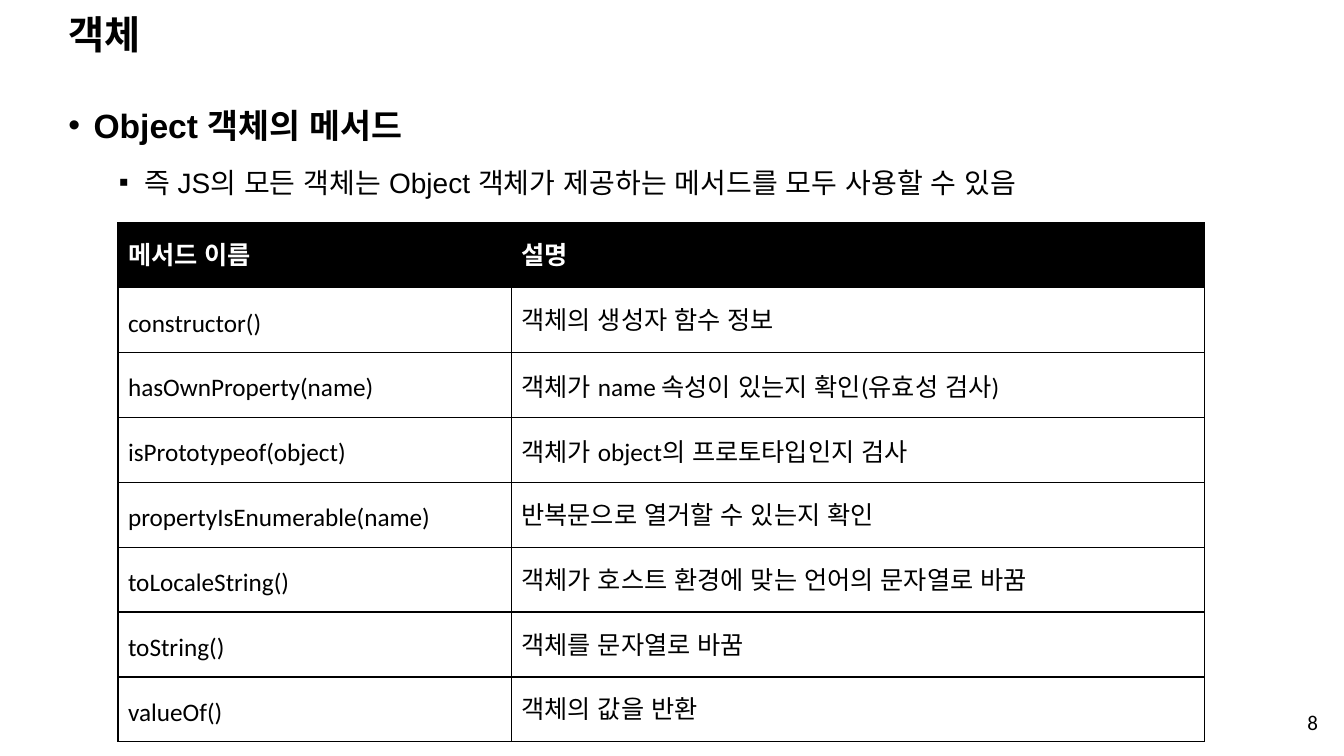
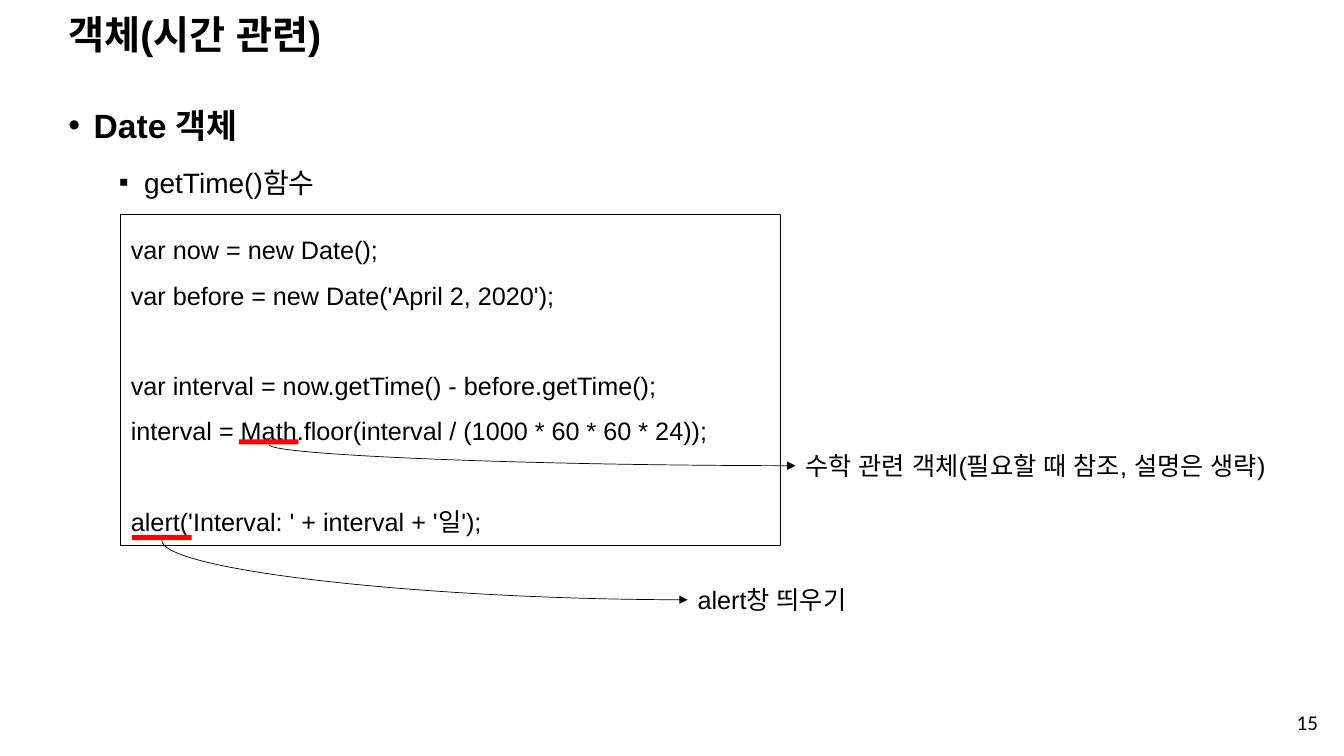
from dataclasses import dataclass

from lxml.etree import SubElement
from pptx import Presentation
from pptx.dml.color import RGBColor
from pptx.enum.shapes import MSO_CONNECTOR, MSO_SHAPE
from pptx.enum.text import MSO_ANCHOR, MSO_AUTO_SIZE, PP_ALIGN
from pptx.oxml.ns import qn
from pptx.presentation import Presentation as Deck
from pptx.shapes.autoshape import Shape
from pptx.slide import Slide
from pptx.table import _Cell
from pptx.text.text import TextFrame, _Paragraph
from pptx.util import Inches, Pt


@dataclass(frozen=True)
class Theme:
    ink: RGBColor = RGBColor(0, 0, 0)
    paper: RGBColor = RGBColor(255, 255, 255)
    accent: RGBColor = RGBColor(255, 0, 0)
    font: str = "Arial"
    table_font: str = "Calibri"
    title: int = 28
    heading: int = 24
    point: int = 20
    text: int = 18
    number: int = 15


@dataclass(frozen=True)
class Box:
    left: float
    top: float
    width: float
    height: float

    def lengths(self) -> tuple[int, int, int, int]:
        return (Inches(self.left), Inches(self.top),
                Inches(self.width), Inches(self.height))


@dataclass(frozen=True)
class BulletStyle:
    mark: str
    indent: float
    size: int
    bold: bool
    before: int


@dataclass(frozen=True)
class Callout:
    underline: Box
    label: Box
    text: str


@dataclass(frozen=True)
class CodeGroup:
    lines: tuple[str, ...]


THEME = Theme()
BULLETS = (
    BulletStyle("•", 0.25, THEME.heading, True, 0),
    BulletStyle("▪", 0.75, THEME.point, False, 5),
)
HANGING = 0.25
CODE_GAP = 32

METHODS = (
    ("메서드 이름", "설명"),
    ("constructor()", "객체의 생성자 함수 정보"),
    ("hasOwnProperty(name)", "객체가 name 속성이 있는지 확인(유효성 검사)"),
    ("isPrototypeof(object)", "객체가 object의 프로토타입인지 검사"),
    ("propertyIsEnumerable(name)", "반복문으로 열거할 수 있는지 확인"),
    ("toLocaleString()", "객체가 호스트 환경에 맞는 언어의 문자열로 바꿈"),
    ("toString()", "객체를 문자열로 바꿈"),
    ("valueOf()", "객체의 값을 반환"),
)
METHOD_COLUMNS = (3.9, 6.88)

CODE = (
    CodeGroup(("var now = new Date();",
               "var before = new Date('April 2, 2020');")),
    CodeGroup(("var interval = now.getTime() - before.getTime();",
               "interval = Math.floor(interval / (1000 * 60 * 60 * 24));")),
    CodeGroup(("alert('Interval: ' + interval + '일');",)),
)
CALLOUTS = (
    Callout(Box(2.37, 4.36, 0.59, 0.05), Box(7.89, 4.42, 5.21, 0.4),
            "수학 관련 객체(필요할 때 참조, 설명은 생략)"),
    Callout(Box(1.31, 5.31, 0.59, 0.05), Box(6.82, 5.75, 2.46, 0.4),
            "alert창 띄우기"),
)


def add_text(paragraph: _Paragraph, text: str, size: int, font: str = THEME.font,
             bold: bool = False, color: RGBColor = THEME.ink) -> None:
    run = paragraph.add_run()
    run.text = text
    run.font.size = Pt(size)
    run.font.name = font
    run.font.bold = bold
    run.font.color.rgb = color
    SubElement(run._r.get_or_add_rPr(), qn("a:ea")).set("typeface", THEME.font)


def next_paragraph(frame: TextFrame, index: int) -> _Paragraph:
    return frame.add_paragraph() if index else frame.paragraphs[0]


def add_text_area(slide: Slide, box: Box) -> Shape:
    area = slide.shapes.add_textbox(*box.lengths())
    area.text_frame.word_wrap = True
    return area


def add_bullet(paragraph: _Paragraph, level: int, text: str) -> None:
    style = BULLETS[level]
    properties = paragraph._p.get_or_add_pPr()
    properties.set("marL", str(Inches(style.indent)))
    properties.set("indent", str(-Inches(HANGING)))
    SubElement(properties, qn("a:buFont")).set("typeface", THEME.font)
    SubElement(properties, qn("a:buChar")).set("char", style.mark)
    paragraph.level = level
    paragraph.line_spacing = 1.4
    paragraph.space_before = Pt(style.before)
    add_text(paragraph, text, style.size, bold=style.bold)


def add_lecture_slide(deck: Deck, heading: str, points: tuple[str, str],
                      number: int) -> Slide:
    slide = deck.slides.add_slide(deck.slide_layouts[5])
    title = slide.shapes.title
    title.left, title.top, title.width, title.height = Box(
        0.58, 0.17, 11.5, 0.38).lengths()
    title.text_frame.vertical_anchor = MSO_ANCHOR.MIDDLE
    title_line = title.text_frame.paragraphs[0]
    title_line.alignment = PP_ALIGN.LEFT
    title_line.line_spacing = 0.9
    add_text(title_line, heading, THEME.title, bold=True)

    outline = add_text_area(slide, Box(0.58, 0.83, 12.22, 1.3)).text_frame
    for level, point in enumerate(points):
        add_bullet(next_paragraph(outline, level), level, point)

    footer = add_text_area(slide, Box(9.42, 6.95, 3.75, 0.42)).text_frame
    footer.vertical_anchor = MSO_ANCHOR.MIDDLE
    footer.paragraphs[0].alignment = PP_ALIGN.RIGHT
    add_text(footer.paragraphs[0], str(number), THEME.number, THEME.table_font)
    return slide


def add_borders(cell: _Cell) -> None:
    properties = cell._tc.get_or_add_tcPr()
    for side in ("lnL", "lnR", "lnT", "lnB"):
        border = SubElement(properties, qn(f"a:{side}"), w=str(Pt(1)))
        fill = SubElement(border, qn("a:solidFill"))
        SubElement(fill, qn("a:srgbClr"), val=str(THEME.ink))


def add_method_table(slide: Slide) -> None:
    table = slide.shapes.add_table(
        len(METHODS), len(METHOD_COLUMNS),
        *Box(1.17, 2.21, sum(METHOD_COLUMNS), 5.15).lengths()).table
    table.horz_banding = False
    for column, width in zip(table.columns, METHOD_COLUMNS):
        column.width = Inches(width)
    for row_index, method in enumerate(METHODS):
        header = row_index == 0
        for column_index, text in enumerate(method):
            cell = table.cell(row_index, column_index)
            add_borders(cell)
            if header:
                cell.fill.solid()
                cell.fill.fore_color.rgb = THEME.ink
            else:
                cell.fill.background()
            paragraph = cell.text_frame.paragraphs[0]
            paragraph.line_spacing = 1.5
            add_text(paragraph, text, THEME.text, THEME.table_font, header,
                     THEME.paper if header else THEME.ink)


def add_rectangle(slide: Slide, box: Box) -> Shape:
    rectangle = slide.shapes.add_shape(MSO_SHAPE.RECTANGLE, *box.lengths())
    rectangle.shadow.inherit = False
    return rectangle


def add_code(slide: Slide) -> None:
    panel = add_rectangle(slide, Box(1.2, 2.13, 6.54, 3.28))
    panel.fill.background()
    panel.line.color.rgb = THEME.ink
    panel.line.width = Pt(0.75)
    frame = panel.text_frame
    frame.word_wrap = True
    frame.vertical_anchor = MSO_ANCHOR.TOP
    lines = [(text, group_index > 0 and line_index == 0)
             for group_index, group in enumerate(CODE)
             for line_index, text in enumerate(group.lines)]
    for index, (text, opens_group) in enumerate(lines):
        paragraph = next_paragraph(frame, index)
        paragraph.alignment = PP_ALIGN.LEFT
        paragraph.line_spacing = 1.5
        if opens_group:
            paragraph.space_before = Pt(CODE_GAP)
        add_text(paragraph, text, THEME.text)


def add_curved_arrow(slide: Slide, underline: Shape, label: Shape) -> None:
    arrow = slide.shapes.add_connector(MSO_CONNECTOR.CURVE, 0, 0, 0, 0)
    arrow.begin_connect(underline, 2)
    arrow.end_connect(label, 1)
    center_x = (arrow.begin_x + arrow.end_x) // 2
    center_y = (arrow.begin_y + arrow.end_y) // 2
    drop, reach = arrow.height, arrow.width
    arrow.left, arrow.top = center_x - drop // 2, center_y - reach // 2
    arrow.width, arrow.height = drop, reach
    arrow.line.color.rgb = THEME.ink
    arrow.line.width = Pt(0.5)
    properties = arrow.element.spPr
    transform = properties.find(qn("a:xfrm"))
    transform.set("rot", "16200000")
    transform.set("flipH", "1")
    properties.find(qn("a:prstGeom")).set("prst", "curvedConnector2")
    SubElement(properties.find(qn("a:ln")), qn("a:tailEnd"), type="triangle")
    SubElement(properties, qn("a:effectLst"))


def add_callout(slide: Slide, callout: Callout) -> None:
    underline = add_rectangle(slide, callout.underline)
    underline.fill.solid()
    underline.fill.fore_color.rgb = THEME.accent
    underline.line.fill.background()
    label = add_text_area(slide, callout.label)
    label.text_frame.auto_size = MSO_AUTO_SIZE.SHAPE_TO_FIT_TEXT
    add_text(label.text_frame.paragraphs[0], callout.text, THEME.text)
    add_curved_arrow(slide, underline, label)


def main() -> None:
    deck = Presentation()
    deck.slide_width, deck.slide_height = Inches(13.33), Inches(7.5)

    methods_slide = add_lecture_slide(
        deck, "객체",
        ("Object 객체의 메서드",
         "즉 JS의 모든 객체는 Object 객체가 제공하는 메서드를 모두 사용할 수 있음"), 8)
    add_method_table(methods_slide)

    date_slide = add_lecture_slide(
        deck, "객체(시간 관련)", ("Date 객체", "getTime()함수"), 15)
    add_code(date_slide)
    for callout in CALLOUTS:
        add_callout(date_slide, callout)

    deck.save("out.pptx")


if __name__ == "__main__":
    main()
